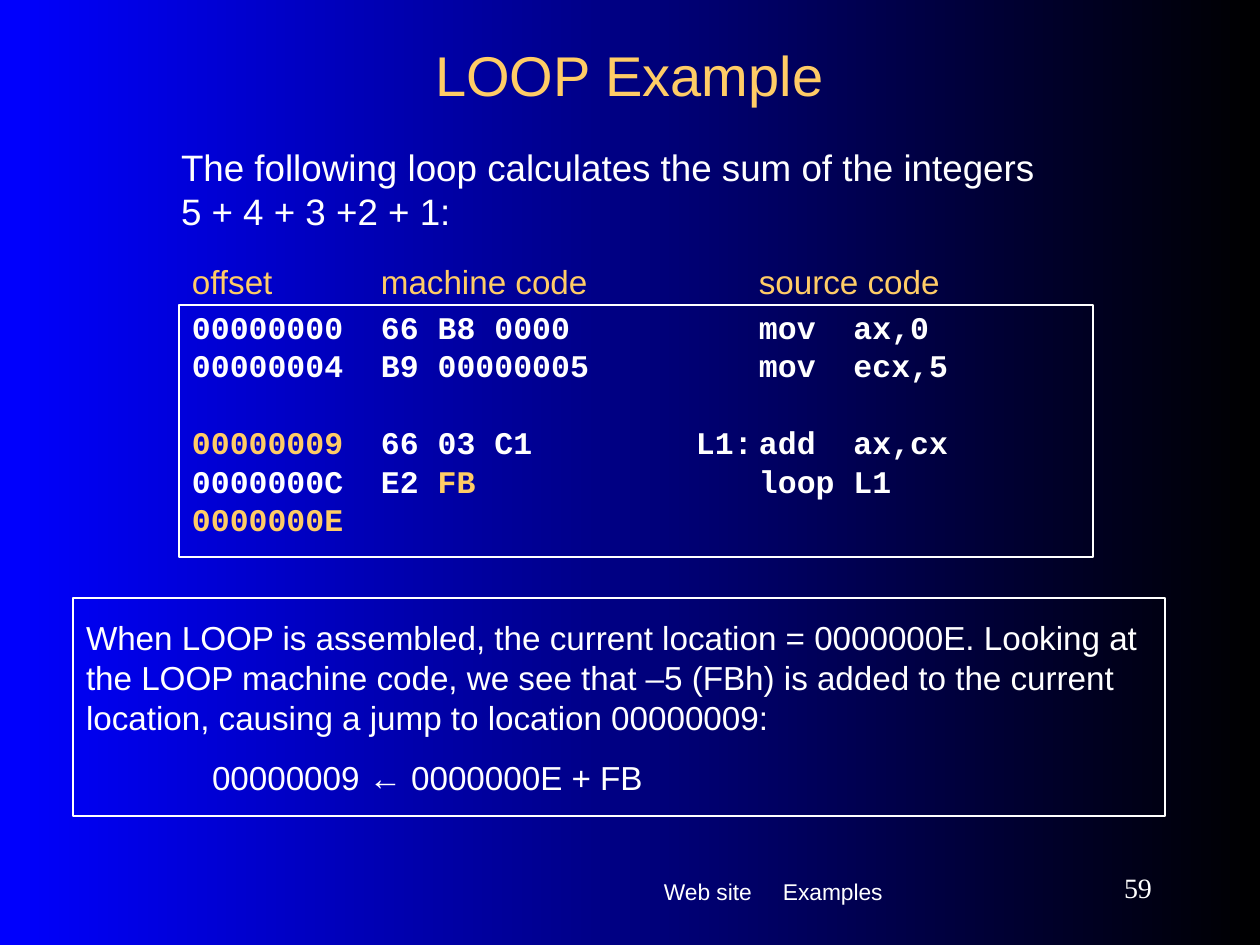
import pptx
import pptx.dml.color
import pptx.enum.shapes
import pptx.enum.text
import pptx.oxml.ns
import pptx.util
from lxml import etree

EMU_PER_PX = 914400 / 126

BLACK = pptx.dml.color.RGBColor(0x00, 0x00, 0x00)
BLUE = pptx.dml.color.RGBColor(0x00, 0x00, 0xFF)
WHITE = pptx.dml.color.RGBColor(0xFF, 0xFF, 0xFF)
GOLD = pptx.dml.color.RGBColor(0xFF, 0xCC, 0x66)

ANCHOR = pptx.enum.text.MSO_ANCHOR
ALIGN = pptx.enum.text.PP_ALIGN

# Each code line is a list of (text, colour) spans.
CODE = [
    [("00000000  66 B8 0000\t\tmov  ax,0", WHITE)],
    [("00000004  B9 00000005\t\tmov  ecx,5", WHITE)],
    [("00000009", GOLD), ("  66 03 C1\tL1:\tadd  ax,cx", WHITE)],
    [("0000000C  E2 ", WHITE), ("FB", GOLD), ("\t\tloop L1", WHITE)],
    [("0000000E", GOLD)],
]
LOOP_START = 2  # the code line that follows the wider gap
NOTE = [
    "When LOOP is assembled, the current location = 0000000E. Looking at the LOOP "
    "machine code, we see that –5 (FBh) is added to the current location, causing "
    "a jump to location 00000009:",
    "00000009 ← 0000000E + FB",
]


def px(length):
    return pptx.util.Emu(round(length * EMU_PER_PX))


def place(shape, area):
    shape.left, shape.top, shape.width, shape.height = map(px, area)


def set_frame(shape, inset=19, anchor=ANCHOR.TOP):
    frame = shape.text_frame
    frame.word_wrap = True
    frame.auto_size = pptx.enum.text.MSO_AUTO_SIZE.NONE
    frame.vertical_anchor = anchor
    frame.margin_left = frame.margin_right = px(13)
    frame.margin_top = frame.margin_bottom = px(inset)


def add_tabs(para, stops):
    tab_list = etree.SubElement(para._p.get_or_add_pPr(), pptx.oxml.ns.qn("a:tabLst"))
    for stop in stops:
        etree.SubElement(tab_list, pptx.oxml.ns.qn("a:tab"), pos=str(px(stop)), algn="l")


def style_span(span, size, color, font="Arial", bold=False):
    span.font.name = font
    span.font.size = pptx.util.Pt(size)
    span.font.color.rgb = color
    span.font.bold = bold


def add_text(slide, area, text, size, color, font="Arial", align=ALIGN.LEFT,
             inset=19, anchor=ANCHOR.TOP, tabs=()):
    box = slide.shapes.add_textbox(*map(px, area))
    set_frame(box, inset, anchor)
    para = box.text_frame.paragraphs[0]
    para.text = text
    para.alignment = align
    if tabs:
        add_tabs(para, tabs)
    style_span(para.runs[0], size, color, font)


def add_outlined_box(slide, area):
    box = slide.shapes.add_shape(pptx.enum.shapes.MSO_SHAPE.RECTANGLE, *map(px, area))
    box.shadow.inherit = False
    box.fill.background()
    box.line.color.rgb = WHITE
    box.line.width = pptx.util.Pt(0.75)
    set_frame(box)
    return box


def add_paragraphs(frame, count):
    paras = [frame.paragraphs[0]] + [frame.add_paragraph() for _ in range(count - 1)]
    for para in paras:
        para.alignment = ALIGN.LEFT
    return paras


def add_code(slide, area):
    frame = add_outlined_box(slide, area).text_frame
    for index, para in enumerate(add_paragraphs(frame, len(CODE))):
        para.line_spacing = 0.5
        if index:
            para.space_before = pptx.util.Pt(33.2 if index == LOOP_START else 11.2)
        add_tabs(para, [504, 567])
        for text, color in CODE[index]:
            span = para.add_run()
            span.text = text
            style_span(span, 18, color, "Courier New", True)


def add_note(slide, area):
    frame = add_outlined_box(slide, area).text_frame
    paras = add_paragraphs(frame, len(NOTE))
    for para, text in zip(paras, NOTE):
        para.text = text
        style_span(para.runs[0], 19, WHITE)
    # The formula is set in below the explanation
    paras[1].space_before = pptx.util.Pt(11.9)
    paras[1]._p.get_or_add_pPr().set("marL", str(px(126)))


def set_title(slide, area, text):
    title = slide.shapes.title
    place(title, area)
    set_frame(title, 6, ANCHOR.MIDDLE)
    title.text_frame.text = text
    para = title.text_frame.paragraphs[0]
    para.alignment = ALIGN.CENTER
    style_span(para.runs[0], 32, GOLD)


def set_background(slide):
    fill = slide.background.fill
    fill.gradient()
    fill.gradient_angle = 180
    for stop, color in zip(fill.gradient_stops, (BLACK, BLUE)):
        stop.color.rgb = color


def main():
    deck = pptx.Presentation()
    deck.slide_width, deck.slide_height = px(1260), px(945)
    page = deck.slides.add_slide(deck.slide_layouts[5])
    set_background(page)

    # Title and introduction
    set_title(page, (94, 32, 1071, 84), "LOOP Example")
    add_text(page, (168, 126, 903, 126),
             "The following loop calculates the sum of the integers 5 + 4 + 3 +2 + 1:",
             21, WHITE)

    # Code listing with its column heads
    add_code(page, (179, 305, 914, 252))
    add_text(page, (179, 242, 892, 78), "offset\tmachine code\tsource code",
             19, GOLD, tabs=[189, 567])

    # Explanation
    add_note(page, (73, 598, 1092, 218))

    # Footer
    add_text(page, (651, 859, 378, 66), "Web site\tExamples", 13, WHITE, tabs=[119])
    add_text(page, (1029, 861, 136, 53), "59", 16, WHITE, "Times New Roman",
             ALIGN.RIGHT, 6, ANCHOR.MIDDLE)

    deck.save("out.pptx")


if __name__ == "__main__":
    main()
